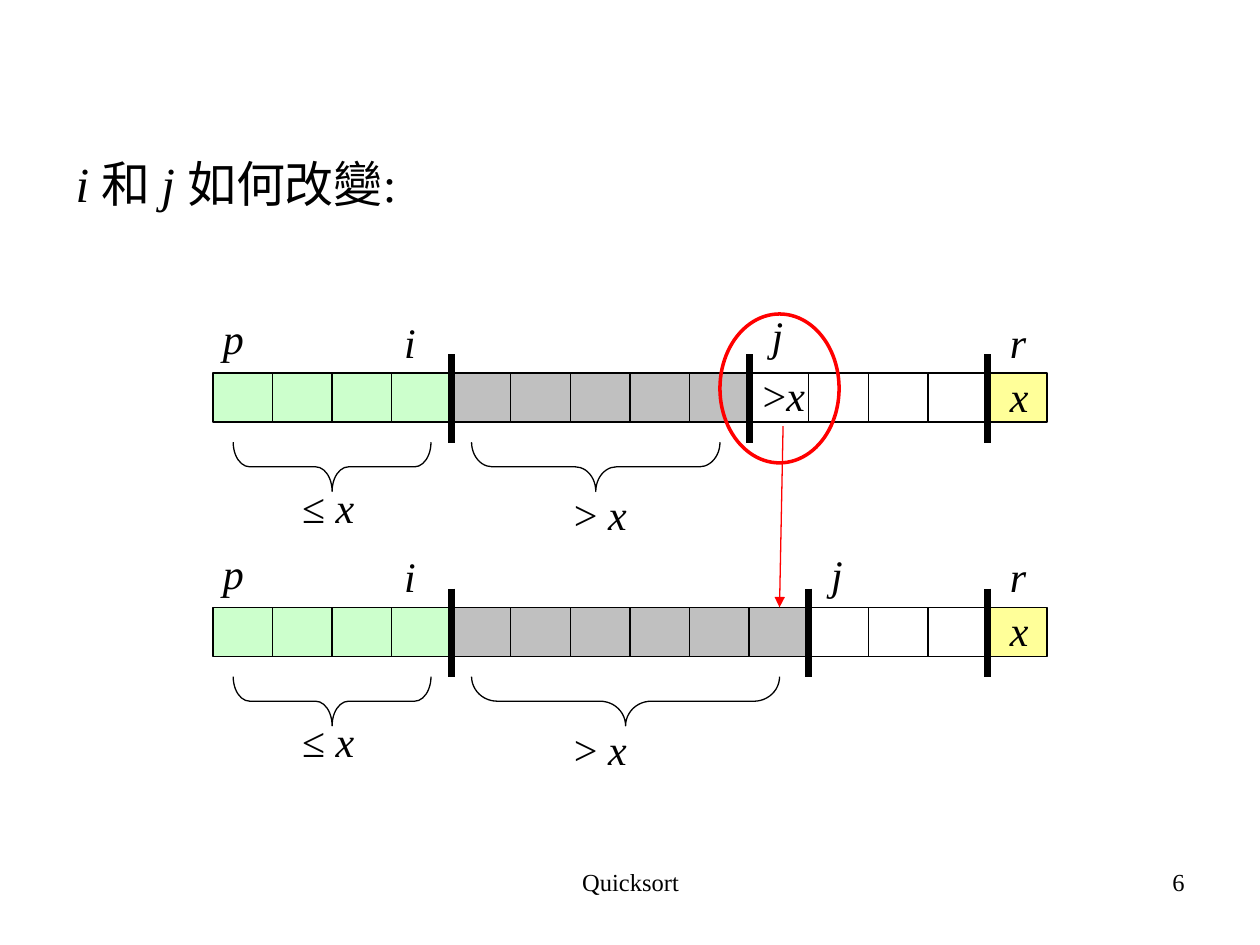
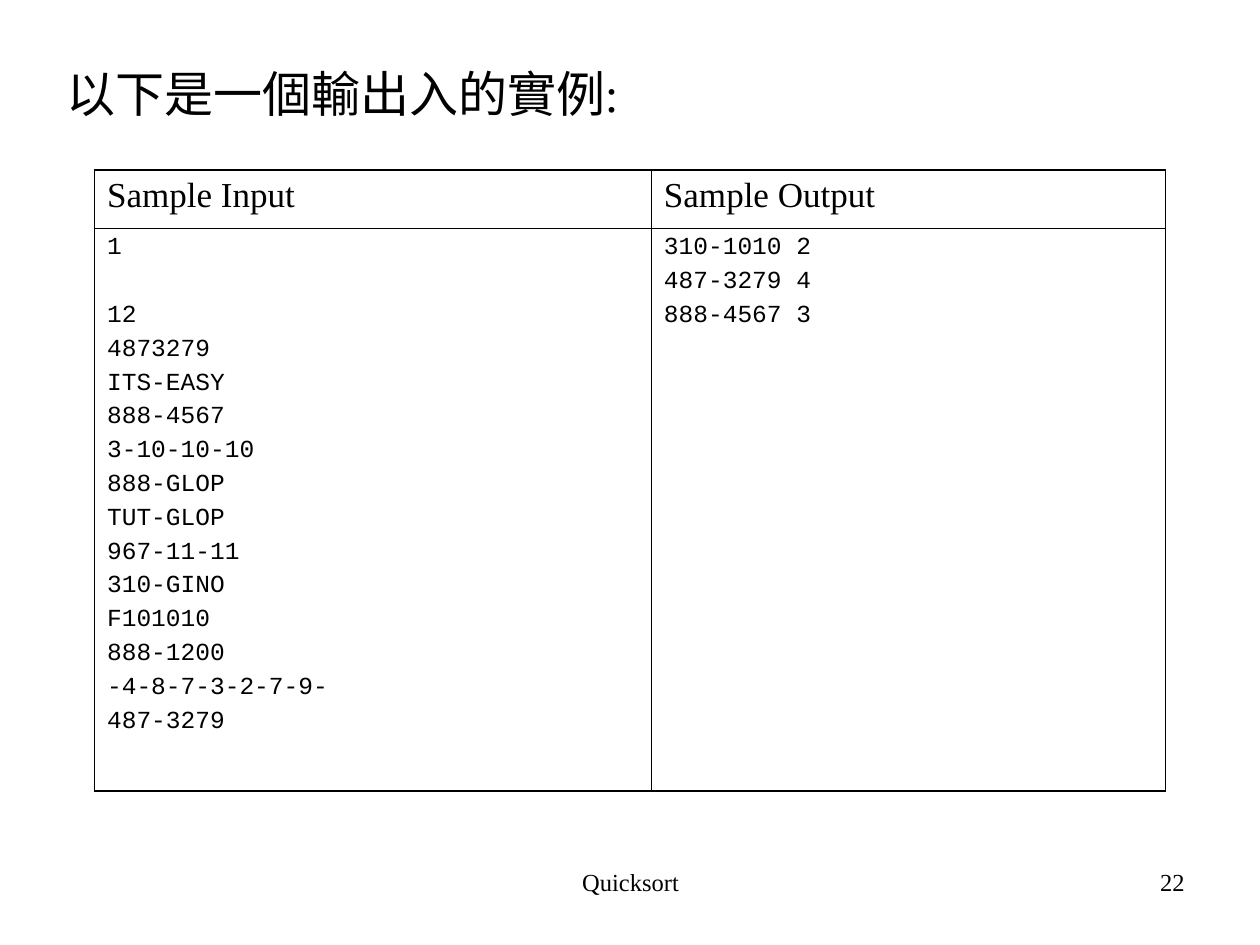
from typing import NamedTuple, Optional

import lxml.etree
import pptx
import pptx.dml.color
import pptx.enum.shapes
import pptx.enum.text
import pptx.oxml
import pptx.oxml.ns
import pptx.util

ALIGN = pptx.enum.text.PP_ALIGN
SHAPE = pptx.enum.shapes.MSO_SHAPE
inches = pptx.util.Inches

# Shared style
SERIF, MONO = "Times New Roman", "Courier New"
BLACK, RED = "000000", "FF0000"
GREEN, GRAY, YELLOW = "CCFFCC", "C0C0C0", "FFFF99"
TITLE_SIZE, LABEL_SIZE, FOOTER_SIZE = 28, 24, 14

# Array grid: columns and rows are counted from the first cell's corner
CELL_COUNT = 14
GRID_LEFT, GRID_RIGHT, GRID_TOP = 1.69, 8.31, 2.96
COLUMN = (GRID_RIGHT - GRID_LEFT) / CELL_COUNT
ROW = 0.39
SECOND_ARRAY_ROW = 4.77
LABEL_WIDTHS = {"p": 0.37, "i": 0.3, "j": 0.3, "r": 0.34, "x": 0.36,
                "≤ x": 0.65, "> x": 0.65, ">x": 0.57}


class Label(NamedTuple):
    text: str
    column: float
    row: float


class Brace(NamedTuple):
    start: float
    end: float


class ArrayState(NamedTuple):
    row: float
    j_column: int
    j_row: float
    large_brace_end: float


class Run(NamedTuple):
    text: str
    italic: bool = False


def grid_x(column: float) -> int:
    return inches(GRID_LEFT + column * COLUMN)


def grid_y(row: float) -> int:
    return inches(GRID_TOP + row * ROW)


def colour(value: str) -> pptx.dml.color.RGBColor:
    return pptx.dml.color.RGBColor.from_string(value)


def style_paragraph(paragraph, size: float, name: str = SERIF, align=ALIGN.LEFT) -> None:
    paragraph.alignment = align
    paragraph.font.name = name
    paragraph.font.size = pptx.util.Pt(size)
    paragraph.font.color.rgb = colour(BLACK)


def add_runs(paragraph, runs: list[Run]) -> None:
    for text, italic in runs:
        run = paragraph.add_run()
        run.text = text
        run.font.italic = italic


def add_shape(slide, kind, left: int, top: int, width: int, height: int,
              fill: Optional[str] = None, line: str = BLACK, weight: float = 0.75):
    shape = slide.shapes.add_shape(kind, left, top, width, height)
    shape.shadow.inherit = False
    if fill:
        shape.fill.solid()
        shape.fill.fore_color.rgb = colour(fill)
    else:
        shape.fill.background()
    shape.line.color.rgb = colour(line)
    shape.line.width = pptx.util.Pt(weight)
    return shape


def add_line(slide, start: tuple[float, float], end: tuple[float, float],
             line: str, weight: float, arrow: bool = False) -> None:
    connector = slide.shapes.add_connector(
        pptx.enum.shapes.MSO_CONNECTOR.STRAIGHT,
        grid_x(start[0]), grid_y(start[1]), grid_x(end[0]), grid_y(end[1]))
    connector.line.color.rgb = colour(line)
    connector.line.width = pptx.util.Pt(weight)
    if arrow:
        lxml.etree.SubElement(connector.line._get_or_add_ln(),
                              pptx.oxml.ns.qn("a:tailEnd"), type="triangle")
    lxml.etree.SubElement(connector._element.spPr, pptx.oxml.ns.qn("a:effectLst"))


def add_label(slide, label: Label) -> None:
    box = slide.shapes.add_textbox(grid_x(label.column), grid_y(label.row),
                                   inches(LABEL_WIDTHS[label.text]), inches(0.5))
    frame = box.text_frame
    frame.word_wrap = False
    frame.auto_size = pptx.enum.text.MSO_AUTO_SIZE.NONE
    paragraph = frame.paragraphs[0]
    style_paragraph(paragraph, LABEL_SIZE)
    sign, variable = label.text[:-1], label.text[-1]
    add_runs(paragraph, [Run(sign)] * bool(sign) + [Run(variable, True)])


def add_brace(slide, brace: Brace, row: float) -> None:
    """A right brace turned a quarter, so that it opens upwards."""
    length = (brace.end - brace.start) * COLUMN
    centre = GRID_LEFT + (brace.start + brace.end) / 2 * COLUMN
    middle = GRID_TOP + (row + 0.5) * ROW
    shape = add_shape(slide, SHAPE.RIGHT_BRACE, inches(centre - ROW / 2),
                      inches(middle - length / 2), inches(ROW), inches(length))
    shape.rotation = 90
    shape.adjustments[0] = length / 12 / ROW


def add_array(slide, state: ArrayState) -> None:
    split, last = 4, CELL_COUNT - 1
    fills = ([GREEN] * split + [GRAY] * (state.j_column - split)
             + [None] * (last - state.j_column) + [YELLOW])
    for column, fill in enumerate(fills):
        add_shape(slide, SHAPE.RECTANGLE, grid_x(column), grid_y(state.row),
                  inches(COLUMN), inches(ROW), fill)
    for column in (split, state.j_column, last):
        add_line(slide, (column, state.row - 0.38), (column, state.row + 1.42), BLACK, 4)
    for brace in (Brace(0.34, 3.66), Brace(4.34, state.large_brace_end)):
        add_brace(slide, brace, state.row + 1.41)
    labels = [
        Label("p", -0.04, -1.35), Label("i", 3, -1.28),
        Label("j", state.j_column + 0.17, state.j_row), Label("r", 13.17, -1.28),
        Label("x", 13.17, -0.18), Label("≤ x", 1.29, 2.08), Label("> x", 5.85, 2.23),
    ]
    for label in labels:
        add_label(slide, label._replace(row=label.row + state.row))


def add_slide(presentation, left: float, top: float, title_runs: list[Run], number: str):
    """Slide with the shared title style, footer and number."""
    slide = presentation.slides.add_slide(presentation.slide_layouts[5])
    title = slide.shapes.title
    title.left, title.top, title.width, title.height = map(inches, (left, top, 9, 0.66))
    frame = title.text_frame
    frame.word_wrap = True
    frame.auto_size = pptx.enum.text.MSO_AUTO_SIZE.NONE
    frame.vertical_anchor = pptx.enum.text.MSO_ANCHOR.TOP
    style_paragraph(frame.paragraphs[0], TITLE_SIZE)
    add_runs(frame.paragraphs[0], title_runs)
    for text, box_left, width, align in (("Quicksort", 3.42, 3.17, ALIGN.CENTER),
                                         (number, 7.17, 2.33, ALIGN.RIGHT)):
        box = slide.shapes.add_textbox(inches(box_left), inches(6.83),
                                       inches(width), inches(0.52))
        box.text_frame.word_wrap = True
        box.text_frame.text = text
        style_paragraph(box.text_frame.paragraphs[0], FOOTER_SIZE, align=align)
    return slide


def set_borders(cell, weights: dict[str, float]) -> None:
    """Weights run in the schema's order: L, R, T, B."""
    properties = cell._tc.get_or_add_tcPr()
    for position, (side, weight) in enumerate(weights.items()):
        properties.insert(position, pptx.oxml.parse_xml(
            f'<a:ln{side} {pptx.oxml.ns.nsdecls("a")} w="{pptx.util.Pt(weight)}">'
            f'<a:solidFill><a:srgbClr val="{BLACK}"/></a:solidFill></a:ln{side}>'))


def fill_cell(cell, text: str, size: float, name: str) -> None:
    """Blank lines in the text become extra space before the next line."""
    cell.fill.background()
    frame = cell.text_frame
    blank_lines = 0
    used = False
    for line in text.split("\n"):
        if not line:
            blank_lines += 1
            continue
        paragraph = frame.add_paragraph() if used else frame.paragraphs[0]
        paragraph.text = line
        if used:
            paragraph.space_before = pptx.util.Pt(3.5 + 19.3 * blank_lines)
        style_paragraph(paragraph, size, name)
        blank_lines, used = 0, True


def build_partition_slide(presentation) -> None:
    slide = add_slide(presentation, 0.5, 1.17,
                      [Run("i ", True), Run("和 "), Run("j ", True), Run("如何改變:")], "6")
    # Array before and after j advances
    add_array(slide, ArrayState(0, 9, -1.41, 8.51))
    add_array(slide, ArrayState(SECOND_ARRAY_ROW, 10, -1.33, 9.51))
    # The element under inspection
    add_label(slide, Label(">x", 9.02, -0.2))
    add_shape(slide, SHAPE.OVAL, grid_x(8.51), grid_y(-1.2),
              inches(2 * COLUMN), inches(3.03 * ROW), line=RED, weight=2)
    add_line(slide, (9.57, 1.08), (9.51, SECOND_ARRAY_ROW), RED, 0.75, arrow=True)


SAMPLE_INPUT = """1

12
4873279
ITS-EASY
888-4567
3-10-10-10
888-GLOP
TUT-GLOP
967-11-11
310-GINO
F101010
888-1200
-4-8-7-3-2-7-9-
487-3279"""

SAMPLE_OUTPUT = """310-1010 2
487-3279 4
888-4567 3"""


def build_sample_slide(presentation) -> None:
    slide = add_slide(presentation, 0.43, 0.45, [Run("以下是一個輸出入的實例:")], "22")
    # Sample table: heavy outline, thin inner rules
    widths, heights = (4.42, 4.08), (0.46, 4.47)
    table = slide.shapes.add_table(2, 2, inches(0.75), inches(1.35),
                                   inches(sum(widths)), inches(sum(heights))).table
    table.first_row = table.horz_banding = False
    for index in range(2):
        table.columns[index].width = inches(widths[index])
        table.rows[index].height = inches(heights[index])
    rows = (("Sample Input", "Sample Output"), (SAMPLE_INPUT, SAMPLE_OUTPUT))
    styles = ((20, SERIF), (14, MONO))
    outer, inner = 1.08, 0.45
    for row, texts in enumerate(rows):
        for column, text in enumerate(texts):
            cell = table.cell(row, column)
            fill_cell(cell, text, *styles[row])
            set_borders(cell, {"L": inner if column else outer,
                               "R": outer if column else inner,
                               "T": inner if row else outer,
                               "B": outer if row else inner})


def main() -> None:
    presentation = pptx.Presentation()
    presentation.slide_width, presentation.slide_height = inches(10), inches(7.5)
    build_partition_slide(presentation)
    build_sample_slide(presentation)
    presentation.save("out.pptx")


if __name__ == "__main__":
    main()
